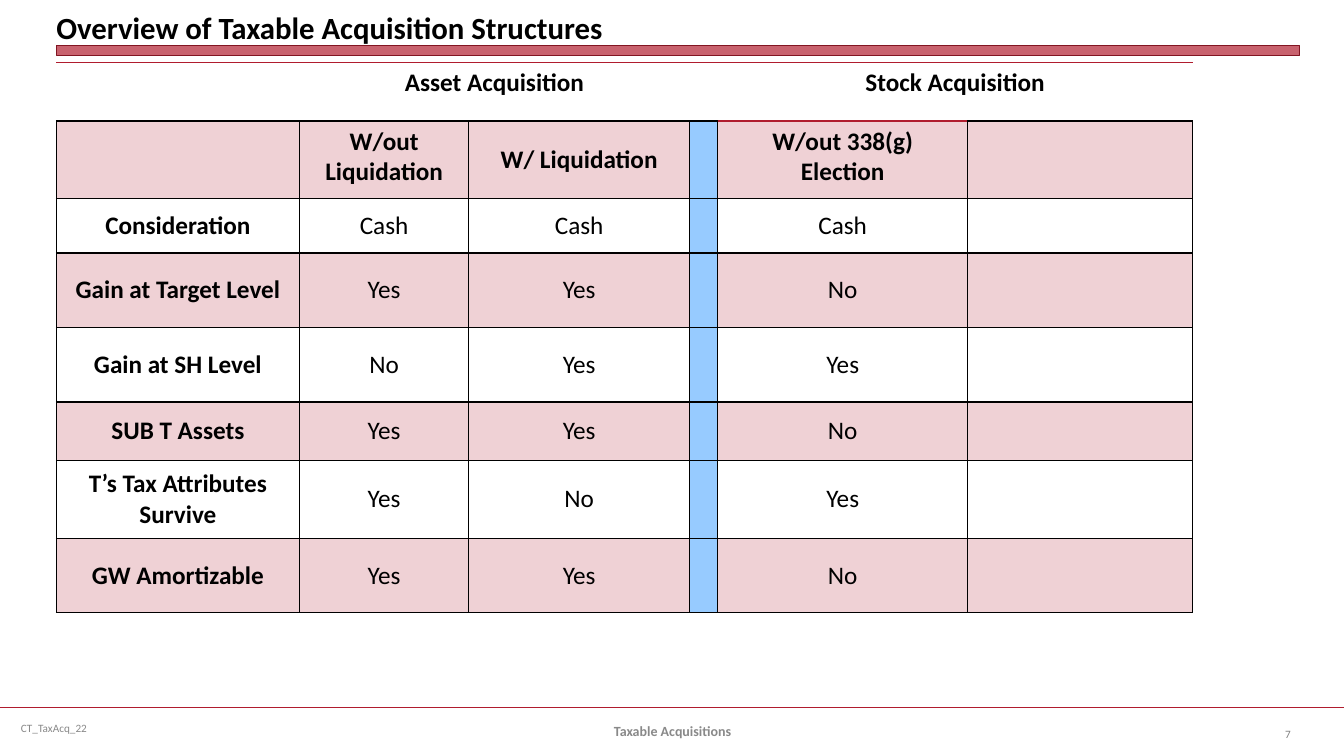
from lxml.etree import SubElement
from pptx import Presentation
from pptx.dml.color import RGBColor
from pptx.enum.shapes import MSO_CONNECTOR, MSO_SHAPE
from pptx.enum.text import MSO_ANCHOR, PP_ALIGN
from pptx.oxml.ns import qn
from pptx.util import Inches, Pt

RED = RGBColor(0xB0, 0x1C, 0x2E)
DARK = RGBColor(0x82, 0x15, 0x22)
BLACK = RGBColor(0, 0, 0)
GRAY = RGBColor(0x89, 0x89, 0x89)
MID = RGBColor(0x80, 0x80, 0x80)
BLUE = RGBColor(0x97, 0xCB, 0xFF)


def tint(fill, parent, percent):
    """Fill with see-through red; parent is the element holding the fill."""
    fill.solid()
    fill.fore_color.rgb = RED
    color = parent.find(qn("a:solidFill")).find(qn("a:srgbClr"))
    SubElement(color, qn("a:alpha"), val=str(percent * 1000))


def border(cell, side, color):
    """Draw one side (L, R, T or B); a color of None hides it."""
    line = SubElement(cell._tc.get_or_add_tcPr(), qn("a:ln" + side), w=str(Pt(1)))
    if color is None:
        SubElement(line, qn("a:noFill"))
    else:
        solid = SubElement(line, qn("a:solidFill"))
        SubElement(solid, qn("a:srgbClr"), val=str(color))


deck = Presentation()
deck.slide_width, deck.slide_height = Inches(13.33), Inches(7.5)
slide = deck.slides.add_slide(deck.slide_layouts[6])
shapes = slide.shapes

# Rules above and below the content
rule = shapes.add_connector(
    MSO_CONNECTOR.STRAIGHT, Inches(0), Inches(7.02), Inches(13.33), Inches(7.02))
rule.line.color.rgb = RED
rule.line.width = Pt(1.25)
SubElement(rule._element.spPr, qn("a:effectLst"))

bar = shapes.add_shape(
    MSO_SHAPE.RECTANGLE, Inches(0.56), Inches(0.45), Inches(12.33), Inches(0.1))
bar.shadow.inherit = False
tint(bar.fill, bar._element.spPr, 69)
bar.line.color.rgb = DARK
bar.line.width = Pt(0)

# Comparison table
WIDTHS = [2.41, 1.68, 2.19, 0.25, 2.48, 2.23]
HEIGHTS = [0.58, 0.77, 0.54, 0.74, 0.74, 0.58, 0.77, 0.74]
ROWS = [
    ["", "Asset Acquisition", "", "", "Stock Acquisition", ""],
    ["", "W/out Liquidation", "W/ Liquidation", "", "W/out 338(g) Election", ""],
    ["Consideration", "Cash", "Cash", "", "Cash", ""],
    ["Gain at Target Level", "Yes", "Yes", "", "No", ""],
    ["Gain at SH Level", "No", "Yes", "", "Yes", ""],
    ["SUB T Assets", "Yes", "Yes", "", "No", ""],
    ["T’s Tax Attributes Survive", "Yes", "No", "", "Yes", ""],
    ["GW Amortizable", "Yes", "Yes", "", "No", ""],
]
GAP, STOCK = 3, 4

frame = shapes.add_table(
    len(ROWS), len(WIDTHS), Inches(0.56), Inches(0.62),
    Inches(sum(WIDTHS)), Inches(sum(HEIGHTS)))
table = frame.table
table.first_row = table.horz_banding = False
for column, width in zip(table.columns, WIDTHS):
    column.width = Inches(width)
for row, height in zip(table.rows, HEIGHTS):
    row.height = Inches(height)
for start in (1, STOCK):
    table.cell(0, start).merge(table.cell(0, start + 1))

for r, texts in enumerate(ROWS):
    for c, text in enumerate(texts):
        cell = table.cell(r, c)
        cell.margin_left = cell.margin_right = Inches(0.12)
        top_head = r == 0 or (r == 1 and c in (1, STOCK))
        cell.vertical_anchor = MSO_ANCHOR.TOP if top_head else MSO_ANCHOR.MIDDLE

        seam = RED if c == STOCK else BLACK
        side = None if r == 0 else BLACK
        border(cell, "L", side)
        border(cell, "R", side)
        border(cell, "T", RED if r == 0 else seam if r == 1 else BLACK)
        border(cell, "B", seam if r == 0 else BLACK)

        if r > 0 and c == GAP:
            cell.fill.solid()
            cell.fill.fore_color.rgb = BLUE
        elif r % 2:
            tint(cell.fill, cell._tc.tcPr, 20)
        else:
            cell.fill.background()

        para = cell.text_frame.paragraphs[0]
        para.text = text
        para.alignment = PP_ALIGN.CENTER
        para.font.name = "Calibri"
        para.font.size = Pt(18)
        para.font.bold = r < 2 or c == 0
        para.font.color.rgb = BLACK

# Title and footer: text, place, size, bold, color, alignment
LABELS = [
    ("Overview of Taxable Acquisition Structures", (0.56, 0.05, 12.33, 0.4),
     22, True, BLACK, PP_ALIGN.LEFT),
    ("CT_TaxAcq_22", (0.11, 7.02, 3.44, 0.4), 8, False, GRAY, PP_ALIGN.LEFT),
    ("Taxable Acquisitions", (4.56, 7.05, 4.22, 0.4), 10, True, GRAY, PP_ALIGN.CENTER),
    ("7", (12.23, 7.08, 0.67, 0.4), 8, False, MID, PP_ALIGN.RIGHT),
]
for text, place, size, bold, color, align in LABELS:
    box = shapes.add_textbox(*[Inches(n) for n in place])
    body = box.text_frame
    body.word_wrap = True
    body.vertical_anchor = MSO_ANCHOR.MIDDLE
    if size == 22:
        body.vertical_anchor = MSO_ANCHOR.BOTTOM
        body.margin_left = body.margin_right = 0
        body.margin_top = body.margin_bottom = 0
    body.text = text
    para = body.paragraphs[0]
    para.alignment = align
    font = para.runs[0].font
    font.name = "Calibri"
    font.size = Pt(size)
    font.bold = bold
    font.color.rgb = color

deck.save("out.pptx")
